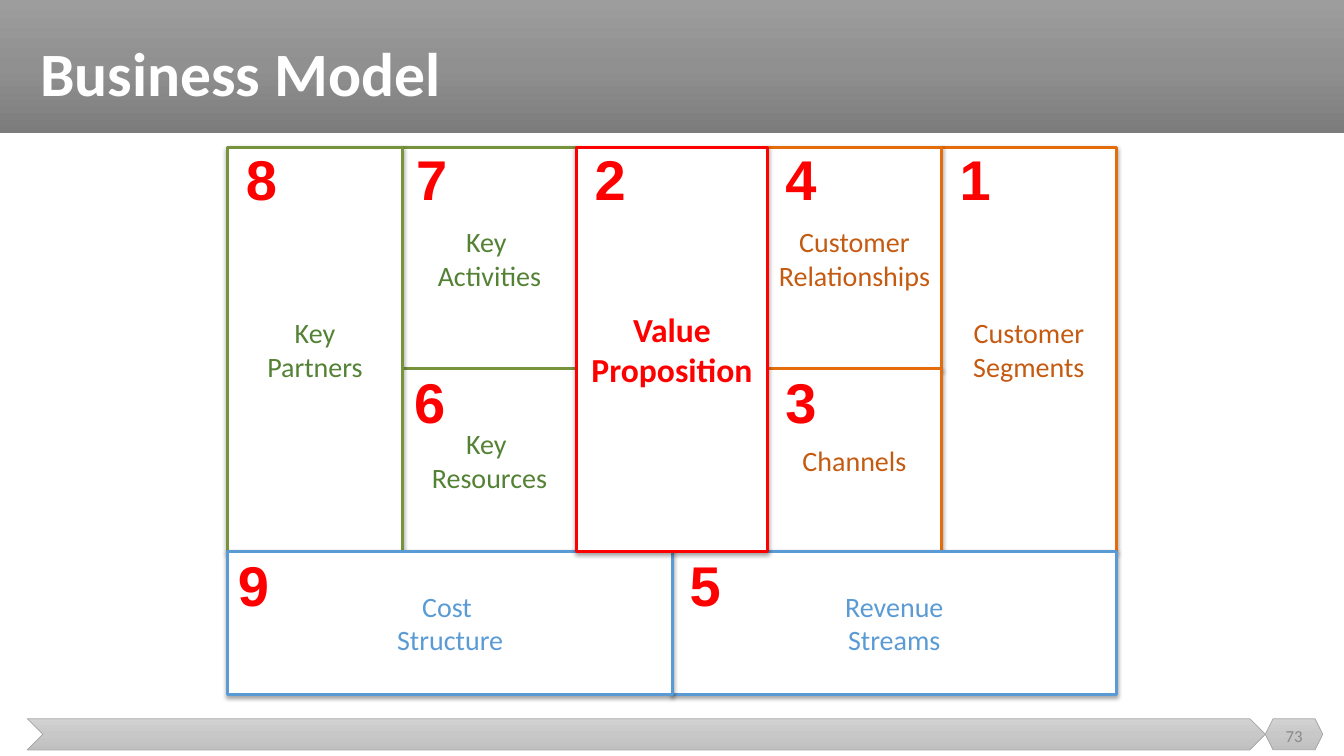
from pptx import Presentation
from pptx.dml.color import RGBColor
from pptx.enum.shapes import MSO_SHAPE
from pptx.enum.text import MSO_ANCHOR, MSO_AUTO_SIZE, PP_ALIGN
from pptx.oxml import parse_xml
from pptx.oxml.ns import nsdecls
from pptx.util import Emu, Pt

RECT, CHEVRON, HEXAGON = MSO_SHAPE.RECTANGLE, MSO_SHAPE.CHEVRON, MSO_SHAPE.HEXAGON
LEFT, CENTER = PP_ALIGN.LEFT, PP_ALIGN.CENTER
TOP, MIDDLE = MSO_ANCHOR.TOP, MSO_ANCHOR.MIDDLE
NO_FIT, GROW = MSO_AUTO_SIZE.NONE, MSO_AUTO_SIZE.SHAPE_TO_FIT_TEXT

PX = 9144  # 100 px to the inch
COLORS = {
    "white": "FFFFFF", "red": "FF0000", "blue": "5B9BD5",
    "green": "548235", "green line": "77933C",
    "orange": "C55A11", "orange line": "E46C0A",
    "gray": "898989", "gray line": "A5A5A5",
}
BANNER = ("9D9D9D", "909090", "7C7C7C")
FOOTER = ("D2D2D2", "C8C8C8", "C0C0C0")


def color(name):
    return RGBColor.from_string(COLORS[name])


class Deck:
    def __init__(self, width, height):
        self.prs = Presentation()
        self.prs.slide_width, self.prs.slide_height = self.px(width, height)
        self.s = self.prs.slides.add_slide(self.prs.slide_layouts[5])

    def px(self, *lengths):
        return [Emu(n * PX) for n in lengths]

    def add_text(self, sp, text, size, ink, font="Calibri", bold=False,
                 align=CENTER, anchor=MIDDLE, fit=NO_FIT):
        tf = sp.text_frame
        tf.word_wrap, tf.auto_size, tf.vertical_anchor = True, fit, anchor
        p = tf.paragraphs[0]
        p.alignment = align
        for i, line in enumerate(text.split("\n")):
            if i:
                p.add_line_break()
            r = p.add_run()
            r.text = line
            r.font.name, r.font.size, r.font.bold = font, Pt(size), bold
            r.font.color.rgb = color(ink)
        return p

    def shape(self, kind, box, line=None, weight=0.5):
        sp = self.s.shapes.add_shape(kind, *self.px(*box))
        sp.shadow.inherit = False
        if line:
            sp.line.color.rgb = color(line)
            sp.line.width = Pt(weight)
        else:
            sp.line.fill.background()
        return sp

    def band(self, kind, box, shades, line=None):
        sp = self.shape(kind, box, line)
        stops = "".join(
            f'<a:gs pos="{i * 50000}"><a:srgbClr val="{c}"/></a:gs>'
            for i, c in enumerate(shades))
        sp.element.spPr.prstGeom.addnext(parse_xml(
            f'<a:gradFill {nsdecls("a")}><a:gsLst>{stops}</a:gsLst>'
            '<a:lin ang="5400000" scaled="0"/></a:gradFill>'))

    def block(self, box, text, ink, line, size=20, bold=False):
        sp = self.shape(RECT, box, line, 2.25)
        sp.fill.solid()
        sp.fill.fore_color.rgb = color("white")
        effects = sp.element.spPr.find("{*}effectLst")
        effects.append(parse_xml(
            f'<a:outerShdw {nsdecls("a")} blurRad="40000" dist="23000" dir="5400000"'
            ' rotWithShape="0"><a:srgbClr val="000000"><a:alpha val="35000"/>'
            '</a:srgbClr></a:outerShdw>'))
        self.add_text(sp, text, size, ink, bold=bold)

    def label(self, box, text, size, ink, **style):
        sp = self.s.shapes.add_textbox(*self.px(*box))
        self.add_text(sp, text, size, ink, **style)

    def title(self, box, text):
        sp = self.s.shapes.title
        sp.left, sp.top, sp.width, sp.height = self.px(*box)
        p = self.add_text(sp, text, 44, "white", bold=True, align=LEFT)
        p.line_spacing = 0.9
        sp.element.getparent().append(sp.element)  # in front of the banner


def main():
    deck = Deck(1333, 750)

    # Banner, title and footer
    deck.band(RECT, (0, 0, 1333, 132), BANNER)
    deck.band(CHEVRON, (27, 713, 1228, 31), FOOTER, "gray line")
    deck.band(HEXAGON, (1255, 713, 57, 31), FOOTER, "gray line")
    deck.title((30, 21, 1104, 109), "Business Model")
    deck.label((1255, 710, 57, 40), "73", 12, "gray")

    # Canvas grid: column and row edges
    partners, activities, value, relations, segments, right = 226, 399, 572, 761, 934, 1107
    top, split, base, bottom = 146, 366, 547, 689
    middle = (partners + right) // 2 + 1
    green, orange = ("green", "green line"), ("orange", "orange line")
    blue, red = ("blue", "blue"), ("red", "red", 24, True)

    # Left, top, right, bottom, text, style, number, number's shift to the right
    blocks = [
        (activities, top, value, split, "Key \nActivities", green, 7, 4),
        (activities, split, value, base, "Key \nResources", green, 6, 2),
        (segments, top, right, base, "Customer\nSegments", orange, 1, 8),
        (partners, top, activities, base, "Key\nPartners", green, 8, 8),
        (relations, top, segments, split, "Customer\nRelationships", orange, 4, 8),
        (relations, split, segments, base, "Channels", orange, 3, 8),
        (middle, base, right, bottom, "Revenue\nStreams", blue, 5, 7),
        (partners, base, middle, bottom, "Cost \nStructure", blue, 9, 0),
        (value, top, relations, base, "Value Proposition", red, 2, 8),
    ]
    for x1, y1, x2, y2, text, style, _, _ in blocks:
        deck.block((x1, y1, x2 - x1, y2 - y1), text, *style)

    # Numbers in the block corners
    for x, y, _, _, _, _, number, shift in blocks:
        rise = 8 if y == top else 6
        deck.label((x + shift, y - rise, 79, 77), str(number), 40, "red",
                   font="Arial", bold=True, align=LEFT, anchor=TOP, fit=GROW)

    deck.prs.save("out.pptx")


if __name__ == "__main__":
    main()
